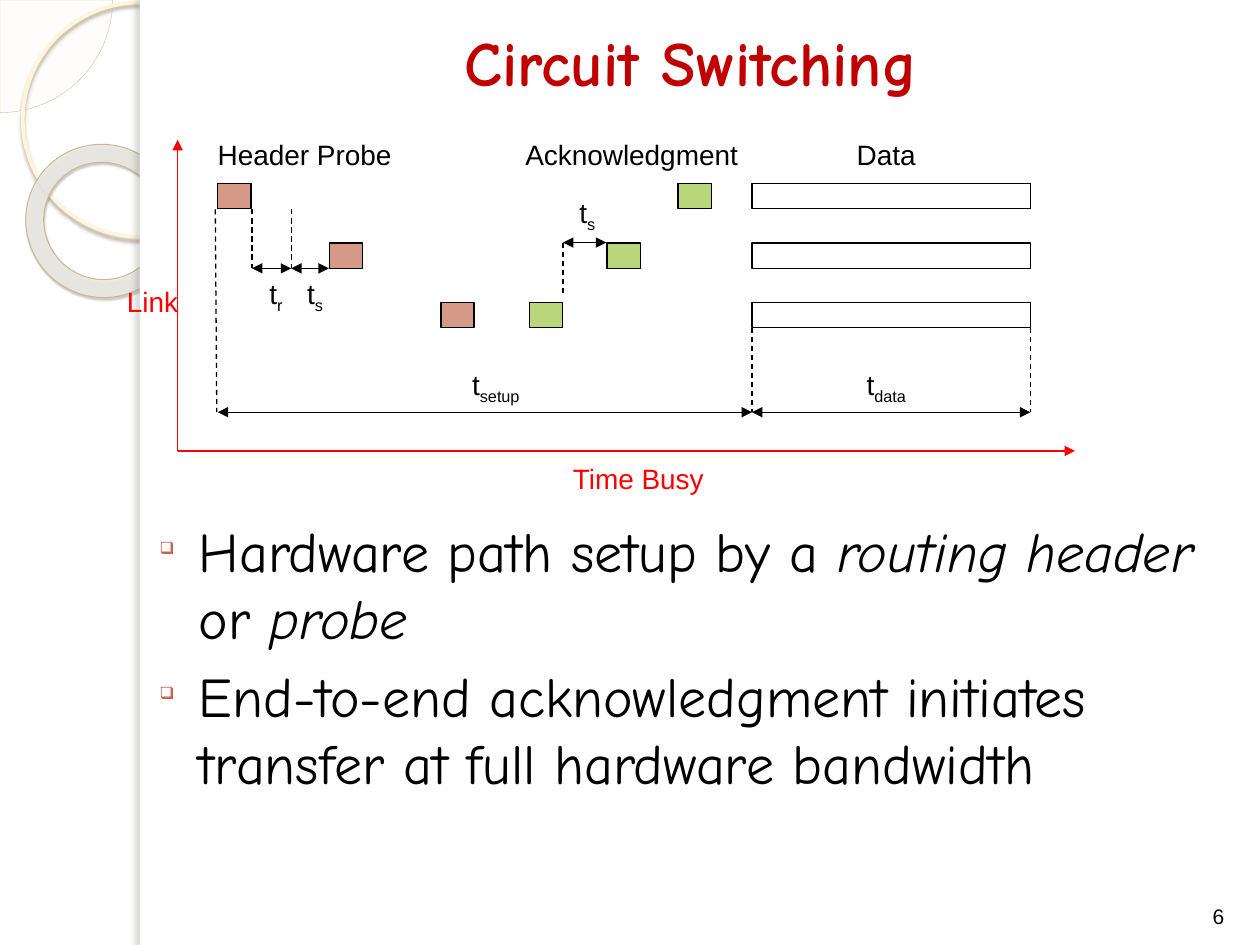
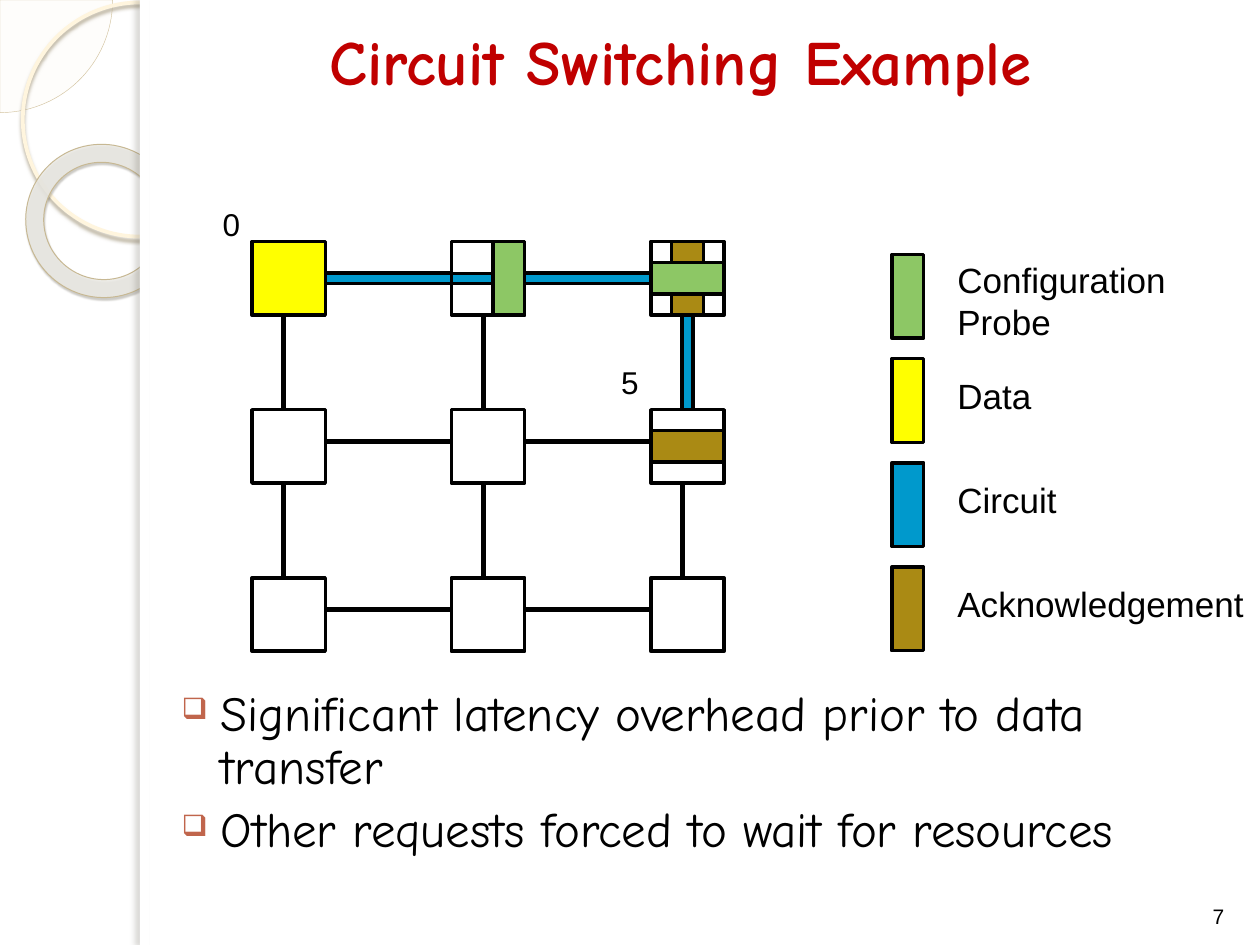
from dataclasses import dataclass
from itertools import product
from typing import NamedTuple, Optional

from lxml.etree import SubElement
from pptx import Presentation
from pptx.dml.color import RGBColor
from pptx.enum.dml import MSO_LINE_DASH_STYLE as Dash
from pptx.enum.shapes import MSO_CONNECTOR as Link, MSO_SHAPE as Form
from pptx.enum.text import MSO_ANCHOR as Anchor, MSO_AUTO_SIZE as Fit, PP_ALIGN as Align
from pptx.oxml.ns import qn
from pptx.util import Cm, Pt

COLORS = {
    "black": "000000", "white": "FFFFFF", "title": "C00000", "axis": "FF0000",
    "bullet": "C0654C", "probe": "D59988", "ack": "B9D77A",
    "config": "8DC765", "data": "FFFF00", "circuit": "0099CC", "reply": "AA8A14",
    "pie": "FEFAF4", "pie line": "D3C39F", "ring": "FFF5DE", "ring shadow": "B0A68F",
    "donut": "EBEAE5", "donut line": "C7B893", "donut shadow": "5A5444",
    "band shadow": "736F63",
}
HEADING_FONT, LABEL_FONT = "Comic Neue", "Arial"


class Area(NamedTuple):
    left: float
    top: float
    width: float
    height: float

    def lengths(self) -> list:
        return [Cm(value) for value in self]


class Span(NamedTuple):
    text: str
    italic: bool = False
    sub: bool = False


class Shadow(NamedTuple):
    color: str
    alpha: int
    blur: float
    distance: float
    angle: int


@dataclass
class Block:
    area: Area
    fill: Optional[str] = None
    line: Optional[str] = "black"
    weight: float = 0.75
    form: Form = Form.RECTANGLE
    alpha: int = 100
    shadow: Optional[Shadow] = None
    rotation: float = 0
    adjustments: tuple = ()


@dataclass
class Stroke:
    start: tuple
    end: tuple
    color: str = "black"
    weight: float = 0.75
    dashed: bool = False
    head: bool = False
    tail: bool = False


@dataclass
class Label:
    area: Area
    spans: tuple
    size: int = 16
    color: str = "black"
    wrap: bool = False


@dataclass
class Bullets:
    area: Area
    items: tuple
    size: int
    mark_percent: int
    line_spacing: float


def rgb(name: str) -> RGBColor:
    return RGBColor.from_string(COLORS[name])


def draw_block(page, block: Block):
    shape = page.shapes.add_shape(block.form, *block.area.lengths())
    shape.shadow.inherit = False
    shape.rotation = block.rotation
    for index, value in enumerate(block.adjustments):
        shape.adjustments[index] = value
    if block.fill:
        shape.fill.solid()
        shape.fill.fore_color.rgb = rgb(block.fill)
        if block.alpha < 100:
            tint = shape.element.spPr.find(qn("a:solidFill"))[0]
            SubElement(tint, qn("a:alpha"), val=str(block.alpha * 1000))
    else:
        shape.fill.background()
    if block.line:
        shape.line.color.rgb = rgb(block.line)
        shape.line.width = Pt(block.weight)
    else:
        shape.line.fill.background()
    if block.shadow:
        cast = block.shadow
        effects = shape.element.spPr.find(qn("a:effectLst"))
        outer = SubElement(effects, qn("a:outerShdw"), blurRad=str(Pt(cast.blur)),
                           dist=str(Pt(cast.distance)), dir=str(cast.angle * 60000))
        tint = SubElement(outer, qn("a:srgbClr"), val=COLORS[cast.color])
        SubElement(tint, qn("a:alpha"), val=str(cast.alpha * 1000))
    return shape


def draw_stroke(page, stroke: Stroke) -> None:
    ends = [Cm(value) for value in (*stroke.start, *stroke.end)]
    connector = page.shapes.add_connector(Link.STRAIGHT, *ends)
    connector.line.color.rgb = rgb(stroke.color)
    connector.line.width = Pt(stroke.weight)
    if stroke.dashed:
        connector.line.dash_style = Dash.DASH
    properties = connector.element.spPr
    outline = properties.find(qn("a:ln"))
    for tag, wanted in (("a:headEnd", stroke.head), ("a:tailEnd", stroke.tail)):
        if wanted:
            SubElement(outline, qn(tag), type="triangle")
    SubElement(properties, qn("a:effectLst"))


def add_spans(para, spans: tuple, font: str, size: int, color: str, bold: bool = False) -> None:
    for part in spans:
        span = para.add_run()
        span.text = part.text
        span.font.name = font
        span.font.size = Pt(size)
        span.font.bold = bold
        span.font.italic = part.italic
        span.font.color.rgb = rgb(color)
        if part.sub:
            span._r.get_or_add_rPr().set("baseline", "-25000")


def draw_label(page, label: Label):
    box = page.shapes.add_textbox(*label.area.lengths())
    box.text_frame.word_wrap = label.wrap
    add_spans(box.text_frame.paragraphs[0], label.spans, LABEL_FONT, label.size, label.color)
    return box


def draw_bullets(page, bullets: Bullets) -> None:
    frame = page.shapes.add_textbox(*bullets.area.lengths()).text_frame
    frame.word_wrap = True
    for index, spans in enumerate(bullets.items):
        para = frame.add_paragraph() if index else frame.paragraphs[0]
        para.line_spacing = bullets.line_spacing
        if index:
            para.space_before = Pt(6)
        properties = para._p.get_or_add_pPr()
        properties.set("marL", str(Cm(1.02)))
        properties.set("indent", str(Cm(-0.79)))
        tint = SubElement(properties, qn("a:buClr"))
        SubElement(tint, qn("a:srgbClr"), val=COLORS["bullet"])
        SubElement(properties, qn("a:buSzPct"), val=str(bullets.mark_percent * 1000))
        SubElement(properties, qn("a:buChar"), char="❑")
        add_spans(para, spans, HEADING_FONT, bullets.size, "black")


def decorate_layout(layout, page) -> None:
    blocks = [
        Block(Area(-2.27, -2.27, 4.54, 4.54), "pie", "pie line", 0.25, Form.PIE,
              alpha=33, adjustments=(0, 54.02)),
        Block(Area(0.46, 0.05, 4.72, 4.72), None, "ring", 2.15, Form.OVAL,
              shadow=Shadow("ring shadow", 85, 2, 2, 90)),
        Block(Area(0.51, 2.92, 3.12, 3.07), "donut", "donut line", 0.58, Form.DONUT,
              85, Shadow("donut shadow", 35, 1, 1.2, 75), 38.6, (0.118,)),
        Block(Area(2.82, 0, 22.58, 19.05), "white", None),
        Block(Area(2.82, 0, 0.2, 19.05), "white", None,
              shadow=Shadow("band shadow", 25, 3, 3, 180)),
    ]
    for index, block in enumerate(blocks):
        layout.shapes.element.insert(2 + index, draw_block(page, block).element)


def dress_page(page, title: str, area: Area, number: int) -> None:
    heading = page.shapes.title
    heading.left, heading.top, heading.width, heading.height = area.lengths()
    frame = heading.text_frame
    frame.auto_size = Fit.NONE
    frame.vertical_anchor = Anchor.MIDDLE
    frame.paragraphs[0].alignment = Align.CENTER
    add_spans(frame.paragraphs[0], (Span(title),), HEADING_FONT, 36, "title", bold=True)
    footer = draw_label(page, Label(Area(23.93, 17.53, 1.27, 1.32), (Span(str(number)),),
                                    12, wrap=True)).text_frame
    footer.vertical_anchor = Anchor.BOTTOM
    footer.paragraphs[0].alignment = Align.CENTER


def build_timing(page) -> None:
    dress_page(page, "Circuit Switching", Area(3.1, 0.36, 21.64, 1.75), 6)
    draw_bullets(page, Bullets(Area(2.74, 10.29, 21.97, 7.49), (
        (Span("Hardware path setup by a "), Span("routing header", italic=True),
         Span(" or "), Span("probe", italic=True)),
        (Span("End-to-end acknowledgment initiates transfer at full hardware bandwidth"),),
    ), 32, 30, 1))

    rows = [3.7 + 1.2 * row for row in range(3)]
    data_left, data_width, bar_height = 15.16, 5.61, 0.51
    data_right = data_left + data_width
    for top, probe_left, ack_left in zip(rows, (4.39, 6.64, 8.89), (13.67, 12.24, 10.67)):
        draw_block(page, Block(Area(data_left, top, data_width, bar_height)))
        draw_block(page, Block(Area(probe_left, top, 0.67, bar_height), "probe"))
        draw_block(page, Block(Area(ack_left, top, 0.67, bar_height), "ack"))

    base = 8.31
    for left, top, right, bottom in (
        (4.34, 4.22, 4.37, base), (5.08, 4.22, 5.08, 5.41), (5.87, 4.22, 5.87, 5.41),
        (data_left, 6.61, data_left, base), (data_right, 6.61, data_right, base),
        (11.35, 4.9, 11.35, 5.92),
    ):
        draw_stroke(page, Stroke((left, top), (right, bottom), dashed=True))
    for left, right, top in ((5.08, 5.87, 5.41), (5.87, 6.63, 5.41), (11.35, 12.22, 4.89),
                             (4.39, data_left, base), (data_left, data_right, base)):
        draw_stroke(page, Stroke((left, top), (right, top), head=True, tail=True))
    origin = (3.58, 9.09)
    for tip in ((21.67, 9.09), (3.58, 2.82)):
        draw_stroke(page, Stroke(origin, tip, "axis", tail=True))

    for left, top, width, index in ((5.18, 5.46, 0.79, "r"), (5.94, 5.46, 0.86, "s"),
                                    (11.43, 3.81, 0.86, "s"), (9.27, 7.29, 1.63, "setup"),
                                    (17.22, 7.29, 1.42, "data")):
        draw_label(page, Label(Area(left, top, width, 0.94), (Span("t"), Span(index, sub=True))))
    for left, top, width, text, color in (
        (4.14, 2.64, 4.01, "Header Probe", "black"),
        (10.34, 2.64, 4.8, "Acknowledgment", "black"),
        (17.02, 2.64, 1.7, "Data", "black"),
        (11.3, 9.17, 3.18, "Time Busy", "axis"),
        (2.31, 5.61, 1.55, "Link", "axis"),
    ):
        draw_label(page, Label(Area(left, top, width, 0.94), (Span(text),), color=color))


def build_mesh(page) -> None:
    dress_page(page, "Circuit Switching Example", Area(2.9, 0.43, 21.64, 1.57), 7)
    draw_bullets(page, Bullets(Area(3.18, 13.77, 20.95, 4.24), (
        (Span("Significant latency overhead prior to data transfer"),),
        (Span("Other requests forced to wait for resources"),),
    ), 28, 60, 0.9))

    node, port, strip = 1.48, 0.64, 0.64
    inset = (node - strip) / 2
    columns = [5.08 + 4.02 * column for column in range(3)]
    rows = [4.87 + 3.39 * row for row in range(3)]
    for left, top in product(columns, rows):
        source = (left, top) == (columns[0], rows[0])
        draw_block(page, Block(Area(left, top, node, node), "data" if source else None, weight=2))
    for (left, right), top in product(zip(columns, columns[1:]), rows):
        draw_stroke(page, Stroke((left + node, top + port), (right, top + port), weight=3))
    for left, (top, bottom) in product(columns, zip(rows, rows[1:])):
        draw_stroke(page, Stroke((left + port, top + node), (left + port, bottom), weight=3))

    wire = 0.21
    wire_top, wire_left = rows[0] + port, columns[2] + port
    for area, fill in (
        (Area(columns[0] + node, wire_top, 2.54, wire), "circuit"),
        (Area(columns[1], wire_top, wire_left + wire - columns[1], wire), "circuit"),
        (Area(wire_left, wire_top, wire, rows[1] - wire_top), "circuit"),
        (Area(columns[2], rows[1] + inset, node, strip), "reply"),
        (Area(columns[2] + inset, rows[0], strip, node), "reply"),
        (Area(columns[1] + node - strip, rows[0], strip, node), "config"),
        (Area(columns[2], rows[0] + inset, node, strip), "config"),
    ):
        draw_block(page, Block(area, fill, weight=2))

    for index, (fill, text, top, width) in enumerate((
        ("config", "Configuration Probe", 5.08, 5.72), ("data", "Data", 7.42, 6.35),
        ("circuit", "Circuit", 9.53, 4.65), ("reply", "Acknowledgement", 11.61, 6.35),
    )):
        draw_block(page, Block(Area(17.98, 5.13 + 2.1 * index, 0.64, 1.69), fill, weight=2))
        draw_label(page, Label(Area(19.05, top, width, 1.09), (Span(text),), 20, wrap=True))
    for left, top, text in ((4.24, 4.01, "0"), (12.27, 7.19, "5")):
        draw_label(page, Label(Area(left, top, 1.9, 1.27), (Span(text),), 18, wrap=True))


def main() -> None:
    deck = Presentation()
    deck.slide_width, deck.slide_height = Cm(25.4), Cm(19.05)
    layout = deck.slide_layouts[5]
    pages = [deck.slides.add_slide(layout) for _ in range(2)]
    decorate_layout(layout, pages[0])
    build_timing(pages[0])
    build_mesh(pages[1])
    deck.save("out.pptx")


if __name__ == "__main__":
    main()
